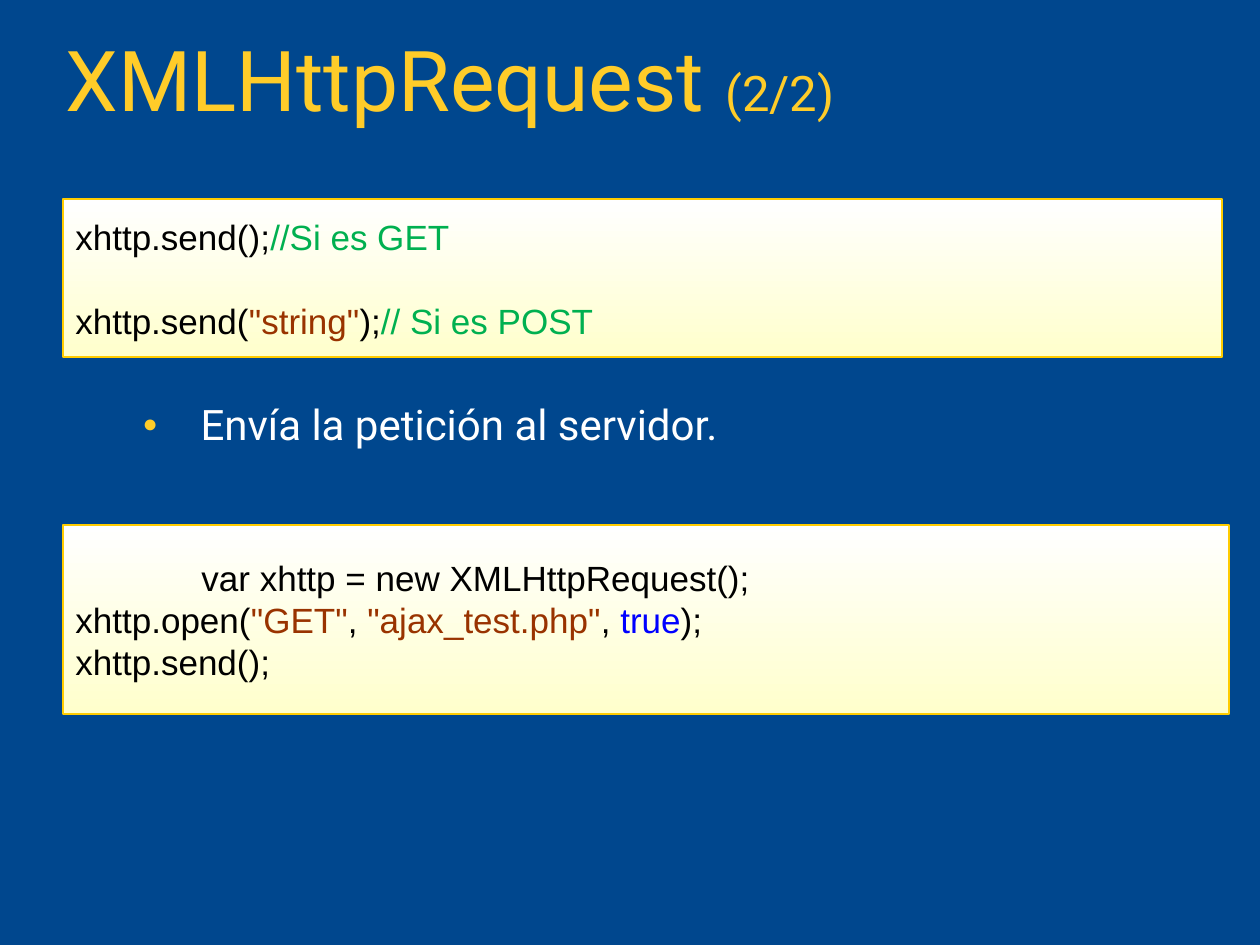
from lxml import etree
from pptx import Presentation
from pptx import util as u
from pptx.dml.color import RGBColor
from pptx.enum import shapes, text
from pptx.oxml import ns

PIXEL = u.Inches(1) // 126

BLUE = RGBColor(0x00, 0x47, 0x8E)
GOLD = RGBColor(0xFF, 0xCC, 0x29)
BORDER = RGBColor(0xFF, 0xCC, 0x00)
CREAM = RGBColor(0xFF, 0xFF, 0xCC)
WHITE = RGBColor(0xFF, 0xFF, 0xFF)
BLACK = RGBColor(0x00, 0x00, 0x00)
GREEN = RGBColor(0x00, 0xB0, 0x50)
BROWN = RGBColor(0x99, 0x33, 0x00)
KEYWORD = RGBColor(0x00, 0x00, 0xFF)


def px(count):
    return u.Emu(count * PIXEL)


def apply(target, values):
    for name, value in values.items():
        setattr(target, name, value)


def place(item, box):
    apply(item, dict(zip(("left", "top", "width", "height"), map(px, box))))


def add_span(para, words, font, size, color):
    span = para.add_run()
    span.text = words
    apply(span.font, {"name": font, "size": u.Pt(size), "bold": False})
    span.font.color.rgb = color


def set_indent(para, left, first):
    props = para._p.get_or_add_pPr()
    props.set("marL", str(px(left)))
    props.set("indent", str(px(first)))
    return props


def add_title(page, box, spans):
    title = page.shapes.title
    place(title, box)
    apply(title.text_frame, {"vertical_anchor": text.MSO_ANCHOR.BOTTOM,
                             "auto_size": text.MSO_AUTO_SIZE.NONE,
                             "word_wrap": True})
    para = title.text_frame.paragraphs[0]
    apply(para, {"alignment": text.PP_ALIGN.LEFT, "line_spacing": 0.9})
    for words, size in spans:
        add_span(para, words, "Roboto", size, GOLD)


def add_bullet_list(page, box, inset, words):
    body = page.placeholders[1]
    place(body, box)
    apply(body.text_frame, {"vertical_anchor": text.MSO_ANCHOR.TOP,
                            "auto_size": text.MSO_AUTO_SIZE.NONE,
                            "word_wrap": True, "margin_top": px(inset)})
    para = body.text_frame.paragraphs[0]
    apply(para, {"level": 1, "line_spacing": 0.9, "space_before": u.Pt(0),
                 "alignment": text.PP_ALIGN.LEFT})
    add_span(para, words, "Roboto", 24, WHITE)

    # Small gold bullet
    props = set_indent(para, 135, -58)
    color = etree.SubElement(props, ns.qn("a:buClr"))
    etree.SubElement(color, ns.qn("a:srgbClr"), val=str(GOLD))
    etree.SubElement(props, ns.qn("a:buSzPct"), val="60000")
    etree.SubElement(props, ns.qn("a:buChar"), char="●")


def add_code_box(page, box, lines, gap=0, first_indent=0):
    panel = page.shapes.add_shape(shapes.MSO_SHAPE.RECTANGLE, *map(px, box))
    panel.shadow.inherit = False
    panel.fill.gradient()
    panel.fill.gradient_angle = 270
    for stop, color in zip(panel.fill.gradient_stops, (WHITE, CREAM)):
        stop.color.rgb = color
    panel.line.color.rgb = BORDER
    panel.line.width = u.Pt(0.74)

    frame = panel.text_frame
    apply(frame, {"vertical_anchor": text.MSO_ANCHOR.MIDDLE, "word_wrap": True})
    for index, spans in enumerate(lines):
        para = frame.add_paragraph() if index else frame.paragraphs[0]
        para.alignment = text.PP_ALIGN.LEFT
        if index:
            para.space_before = u.Pt(gap)
        elif first_indent:
            set_indent(para, 0, first_indent)
        for words, color in spans:
            add_span(para, words, "Arial", 20, color)


deck = Presentation()
apply(deck, {"slide_width": u.Inches(10), "slide_height": u.Inches(7.5)})
page = deck.slides.add_slide(deck.slide_layouts[1])
page.background.fill.solid()
page.background.fill.fore_color.rgb = BLUE

# Heading and explanation
add_title(page, (53, 31, 1157, 105), [("XMLHttpRequest ", 48), ("(2/2)", 28)])
add_bullet_list(page, (53, 195, 1155, 330), 209, "Envía la petición al servidor.")

# Forms of the send call
add_code_box(page, (63, 199, 1159, 158), [
    [("xhttp.send();", BLACK), ("//Si es GET", GREEN)],
    [("xhttp.send(", BLACK), ('"string"', BROWN), (");", BLACK),
     ("// Si es POST", GREEN)],
], gap=24)

# Full example
add_code_box(page, (63, 525, 1166, 189), [
    [("var xhttp = new XMLHttpRequest();", BLACK)],
    [("xhttp.open(", BLACK), ('"GET"', BROWN), (", ", BLACK),
     ('"ajax_test.php"', BROWN), (", ", BLACK), ("true", KEYWORD),
     (");", BLACK)],
    [("xhttp.send();", BLACK)],
], first_indent=126)

deck.save("out.pptx")
